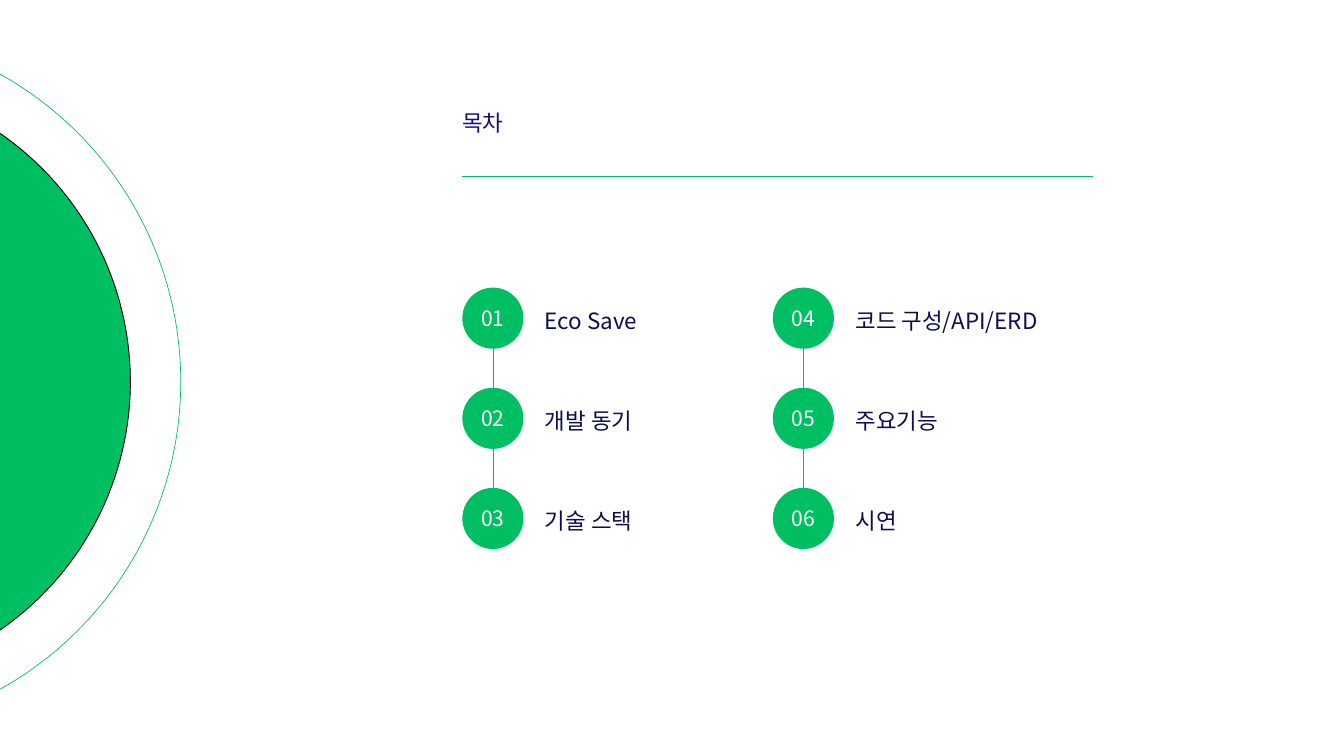
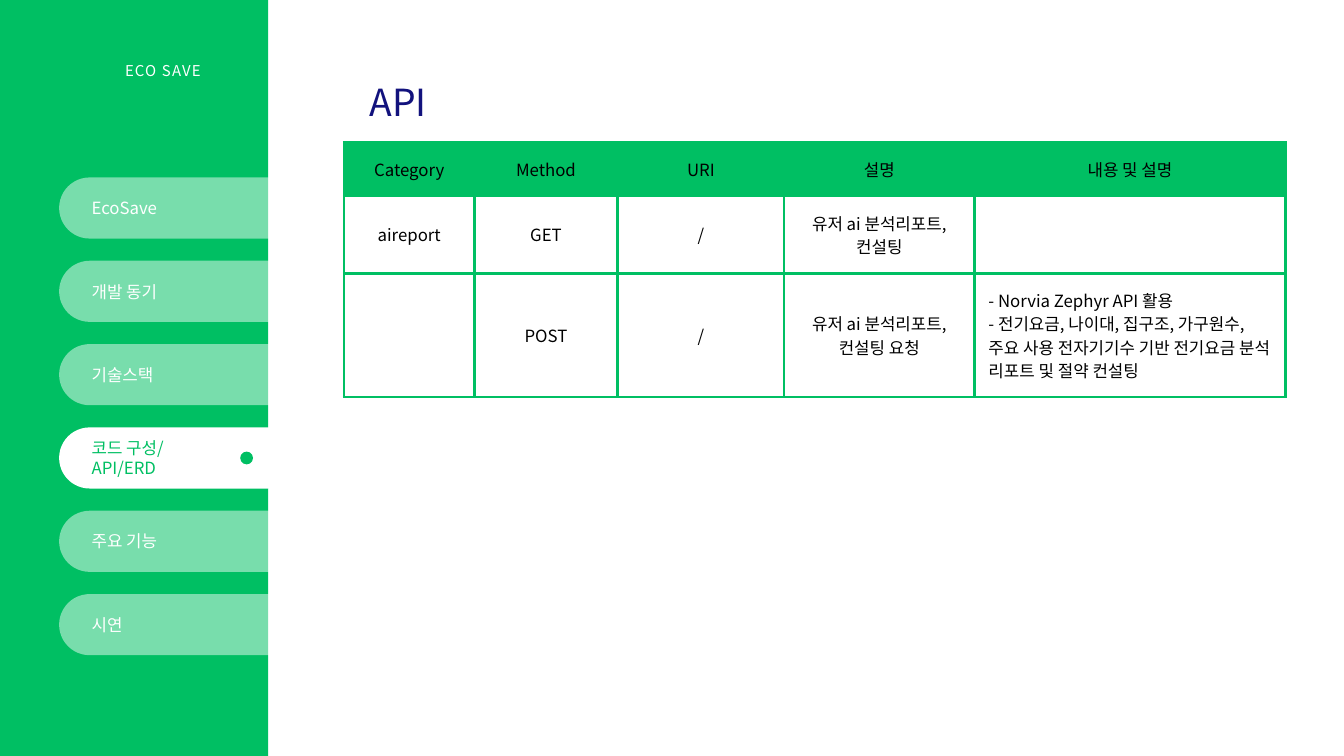
"""Build the contents slide and the API slide of the Eco Save deck."""
from lxml.etree import SubElement
from pptx import Presentation
from pptx.dml.color import RGBColor as Rgb
from pptx.enum.shapes import MSO_CONNECTOR as Link, MSO_SHAPE as Shape
from pptx.enum.text import MSO_ANCHOR as Anchor, PP_ALIGN as Align
from pptx.oxml.ns import qn
from pptx.util import Inches, Pt


class Theme:
    green, white, black = "00BF63", "FFFFFF", "000000"
    navy, ink = "12127D", "0D0D50"
    latin, hangul = "Noto Sans CJK KR", "Calibri"
    brand, body, num, item, head = 16, 18, 22.6, 24, 40


TOPICS = [
    ["Eco Save", "개발 동기", "기술 스택"],
    ["코드 구성/API/ERD", "주요기능", "시연"],
]
TABS = [["EcoSave"], ["개발 동기"], ["기술스택"], ["코드 구성/", "API/ERD"],
        ["주요 기능"], ["시연"]]
ACTIVE = 3
WIDTHS = [1.94, 2.13, 2.48, 2.83, 4.63]
HEIGHTS = [0.8, 1.15, 1.84]
ROWS = [
    [["Category"], ["Method"], ["URI"], ["설명"], ["내용 및 설명"]],
    [["aireport"], ["GET"], ["/"], ["유저 ai 분석리포트, 컨설팅"], []],
    [[], ["POST"], ["/"], ["유저 ai 분석리포트, 컨설팅 요청"],
     ["- Norvia Zephyr API 활용",
      "- 전기요금, 나이대, 집구조, 가구원수, 주요 사용 전자기기수 기반 "
      "전기요금 분석 리포트 및 절약 컨설팅"]],
]


def place(*sizes):
    return [Inches(size) for size in sizes]


def write(frame, lines, size, color, lead, align=Align.LEFT, track=0):
    for i, line in enumerate(lines):
        para = frame.add_paragraph() if i else frame.paragraphs[0]
        para.alignment, para.line_spacing = align, Pt(lead)
        run = para.add_run()
        run.text = line
        pure = all(c == " " or not c.isascii() for c in line)
        font = run.font
        font.size, font.bold = Pt(size), False
        font.color.rgb = Rgb.from_string(color)
        font.name = Theme.hangul if pure else Theme.latin
        props = run._r.get_or_add_rPr()
        SubElement(props, qn("a:ea"), typeface=Theme.latin)
        if track:
            props.set("spc", str(track))


def clear(frame, left=0):
    frame.margin_left = Inches(left)
    frame.margin_right = frame.margin_top = frame.margin_bottom = 0


def add_title(slide, text, box, size, lead):
    title = slide.shapes.title
    title.left, title.top, title.width, title.height = place(*box)
    frame = title.text_frame
    clear(frame)
    frame.vertical_anchor = Anchor.TOP
    write(frame, [text], size, Theme.navy, lead)


def add_text(slide, text, box, *style, **more):
    frame = slide.shapes.add_textbox(*place(*box)).text_frame
    clear(frame)
    frame.word_wrap = True
    write(frame, [text], *style, **more)


def add_form(slide, kind, box, fill=None, line=None, width=1, alpha=None):
    form = slide.shapes.add_shape(kind, *place(*box))
    form.shadow.inherit = False
    if fill:
        form.fill.solid()
        form.fill.fore_color.rgb = Rgb.from_string(fill)
    else:
        form.fill.background()
    if alpha:
        tint = form._element.spPr.find(".//" + qn("a:srgbClr"))
        SubElement(tint, qn("a:alpha"), val=str(alpha * 1000))
    if line:
        form.line.color.rgb = Rgb.from_string(line)
        form.line.width = Pt(width)
    else:
        form.line.fill.background()
    return form


def add_rule(slide, *ends):
    rule = slide.shapes.add_connector(Link.STRAIGHT, *place(*ends))
    rule.line.color.rgb = Rgb.from_string(Theme.green)
    rule.line.width = Pt(0.75)
    SubElement(rule._element.spPr, qn("a:effectLst"))


def add_disc(slide, x, y, span, *style):
    half = span / 2
    return add_form(slide, Shape.OVAL, (x - half, y - half, span, span), *style)


def build_list(slide):
    left, top, span, step, gap = 6.88, 4.28, 0.91, 1.49, 4.62
    add_title(slide, "목차", (left, 1.62, 3.44, 0.41), Theme.item, 28.8)
    add_rule(slide, left, 2.62, 16.26, 2.62)
    add_disc(slide, -2.55, 5.68, 8.98, Theme.green, Theme.black)
    add_disc(slide, -2.55, 5.68, 10.48, None, Theme.green, 0.75)
    for col, names in enumerate(TOPICS):
        x = left + col * gap
        mid, first = x + span / 2, top + span / 2
        add_rule(slide, mid, first, mid, first + 2 * step)
        for row, name in enumerate(names):
            disc = add_disc(slide, mid, first + row * step, span, Theme.green)
            frame = disc.text_frame
            clear(frame)
            number = f"{col * len(names) + row + 1:02}"
            write(frame, [number], Theme.num, Theme.white, 27.2, Align.CENTER)
            add_text(slide, name, (x + 1.23, top + 0.22 + row * step, 3.53, 0.45),
                     Theme.item, Theme.ink, 33.6)


def build_side(slide):
    left, top, high, step = 0.88, 2.64, 0.91, 1.24
    add_form(slide, Shape.RECTANGLE, (0, 0, 3.99, 11.25), Theme.green)
    add_text(slide, "ECO SAVE", (1.36, 0.87, 2.13, 0.32), Theme.brand,
             Theme.white, 23, align=Align.CENTER, track=130)
    for i, lines in enumerate(TABS):
        y, live = top + i * step, i == ACTIVE
        tab = add_form(slide, Shape.ROUNDED_RECTANGLE, (left, y, 3.56, high),
                       Theme.white, alpha=None if live else 47)
        tab.adjustments[0] = 0.5
        frame = tab.text_frame
        clear(frame, 0.35)
        frame.vertical_anchor = Anchor.MIDDLE
        write(frame, lines, Theme.body, Theme.green if live else Theme.white, 21.6)
        if live:
            add_disc(slide, 3.67, y + high / 2, 0.19, Theme.green)


def edge(cell):
    props = cell._tc.get_or_add_tcPr()
    for side in ("lnL", "lnR", "lnT", "lnB"):
        line = SubElement(props, qn("a:" + side), w=str(Pt(3)))
        fill = SubElement(line, qn("a:solidFill"))
        SubElement(fill, qn("a:srgbClr"), val=Theme.green)


def build_api(slide):
    build_side(slide)
    add_title(slide, "API", (5.5, 1.18, 8.99, 0.67), Theme.head, 48)
    size = len(ROWS), len(WIDTHS)
    table = slide.shapes.add_table(
        *size, *place(5.12, 2.12, sum(WIDTHS), sum(HEIGHTS))).table
    table.first_row = table.horz_banding = False
    for col, width in zip(table.columns, WIDTHS):
        col.width = Inches(width)
    for r, (row, height) in enumerate(zip(table.rows, HEIGHTS)):
        row.height = Inches(height)
        for cell, lines in zip(row.cells, ROWS[r]):
            edge(cell)
            if r:
                cell.fill.background()
            else:
                cell.fill.solid()
                cell.fill.fore_color.rgb = Rgb.from_string(Theme.green)
            cell.vertical_anchor = Anchor.MIDDLE
            cell.margin_left = cell.margin_right = Inches(0.21)
            cell.margin_top = cell.margin_bottom = Inches(0.21)
            align = Align.LEFT if len(lines) > 1 else Align.CENTER
            write(cell.text_frame, lines, Theme.body, Theme.black, 25.2, align)


def main():
    deck = Presentation()
    deck.slide_width, deck.slide_height = place(20, 11.25)
    for build in (build_list, build_api):
        build(deck.slides.add_slide(deck.slide_layouts[5]))
    deck.save("out.pptx")


if __name__ == "__main__":
    main()
